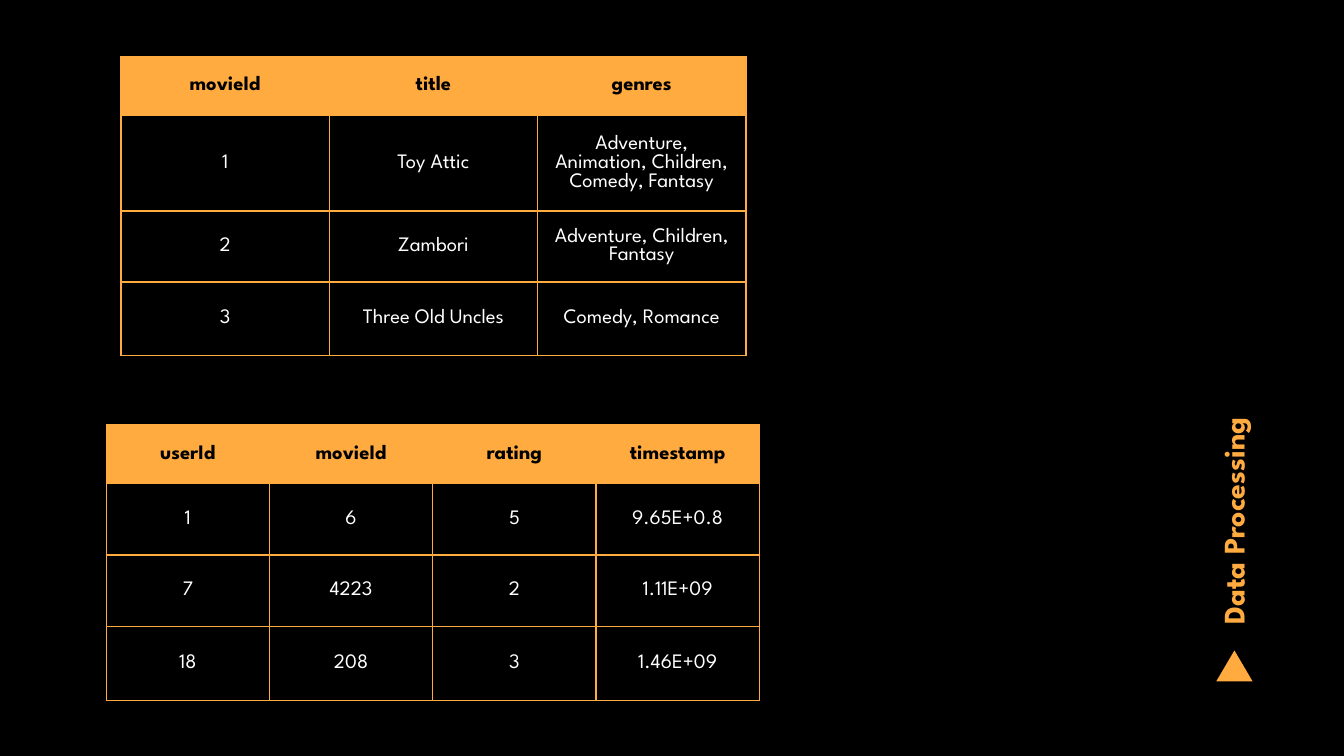
from lxml import etree
from pptx import Presentation
from pptx.dml.color import RGBColor
from pptx.enum import shapes, text
from pptx.oxml.ns import qn
from pptx.util import Inches, Pt

FONT = "League Spartan"
COLORS = {"back": "000000", "accent": "FFAB40", "head": "000000", "body": "FFFFFF"}
TITLE = "Data Processing"
TABLES = [
    {"at": (0.9, 0.42), "width": 4.65, "rows": (0.44, 0.44, 0.44, 0.55),
     "cells": [("movieId", "title", "genres"),
               ("1", "Toy Attic", "Adventure, Animation, Children, Comedy, Fantasy"),
               ("2", "Zambori", "Adventure, Children, Fantasy"),
               ("3", "Three Old Uncles", "Comedy, Romance")]},
    {"at": (0.79, 3.16), "width": 4.86, "rows": (0.44, 0.53, 0.53, 0.55),
     "cells": [("userId", "movieId", "rating", "timestamp"),
               ("1", "6", "5", "9.65E+0.8"),
               ("7", "4223", "2", "1.11E+09"),
               ("18", "208", "3", "1.46E+09")]},
]


def rgb(name):
    return RGBColor.from_string(COLORS[name])


def style_font(p, size, color, bold):
    p.font.name, p.font.size, p.font.bold = FONT, Pt(size), bold
    p.font.color.rgb = rgb(color)


def add_borders(cell, color, width):
    tc_pr = cell._tc.get_or_add_tcPr()
    for i, side in enumerate(("lnL", "lnR", "lnT", "lnB")):
        ln = etree.Element(qn("a:" + side), w=str(Pt(width)))
        fill = etree.SubElement(ln, qn("a:solidFill"))
        etree.SubElement(fill, qn("a:srgbClr"), val=COLORS[color])
        tc_pr.insert(i, ln)


def add_table(slide, at, width, rows, cells):
    n_cols = len(cells[0])
    frame = slide.shapes.add_table(len(cells), n_cols, Inches(at[0]), Inches(at[1]),
                                   Inches(width), Inches(sum(rows)))
    table = frame.table
    table.first_row = table.horz_banding = False
    for col in table.columns:
        col.width = Inches(width / n_cols)
    for r, (height, values) in enumerate(zip(rows, cells)):
        table.rows[r].height = Inches(height)
        for c, value in enumerate(values):
            cell = table.cell(r, c)
            cell.text = value
            cell.vertical_anchor = text.MSO_ANCHOR.MIDDLE
            cell.margin_left = cell.margin_right = Inches(0.08)
            cell.margin_top = cell.margin_bottom = Inches(0.08)
            p = cell.text_frame.paragraphs[0]
            p.alignment = text.PP_ALIGN.CENTER
            style_font(p, 11, "body" if r else "head", r == 0)
            if r:
                cell.fill.background()
            else:
                cell.fill.solid()
                cell.fill.fore_color.rgb = rgb("accent")
            add_borders(cell, "accent", 0.75)


# Slide at 16:9
prs = Presentation()
prs.slide_width = Inches(10)
prs.slide_height = prs.slide_width * 9 // 16
slide = prs.slides.add_slide(prs.slide_layouts[6])
slide.background.fill.solid()
slide.background.fill.fore_color.rgb = rgb("back")

# Triangle marker
sp = slide.shapes.add_shape(shapes.MSO_SHAPE.ISOSCELES_TRIANGLE, Inches(9.05),
                            Inches(4.84), Inches(0.27), Inches(0.23))
sp.shadow.inherit = False
sp.fill.solid()
sp.fill.fore_color.rgb = rgb("accent")
sp.line.fill.background()

# Vertical title
box = slide.shapes.add_textbox(Inches(6.99), Inches(2.33), Inches(4.2), Inches(0.63))
box.rotation = 270
tf = box.text_frame
tf.word_wrap = True
tf.vertical_anchor = text.MSO_ANCHOR.BOTTOM
tf.margin_left = tf.margin_right = tf.margin_top = tf.margin_bottom = Inches(0.1)
tf.text = TITLE
style_font(tf.paragraphs[0], 16, "accent", True)

# Data tables
for item in TABLES:
    add_table(slide, **item)

prs.save("out.pptx")
